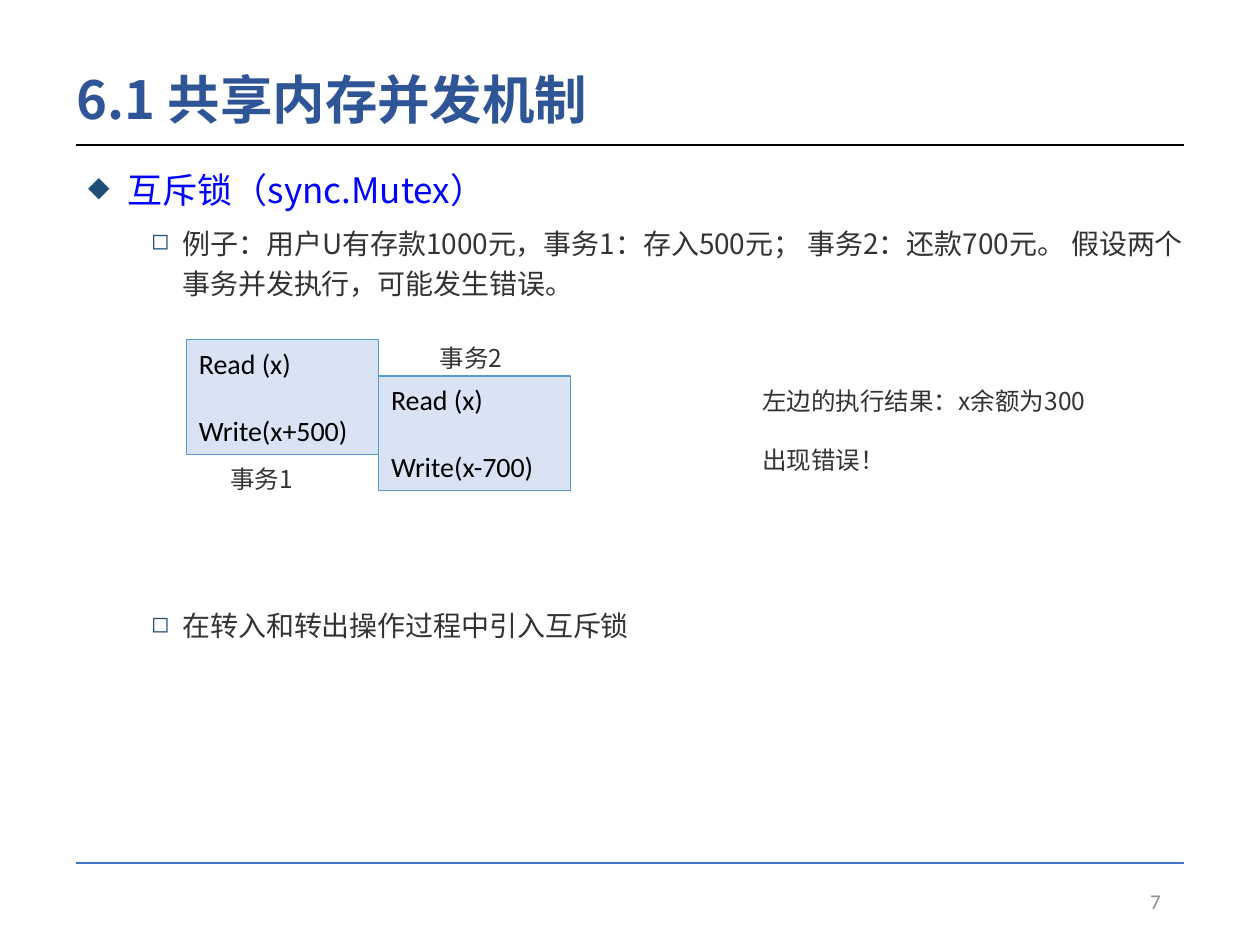
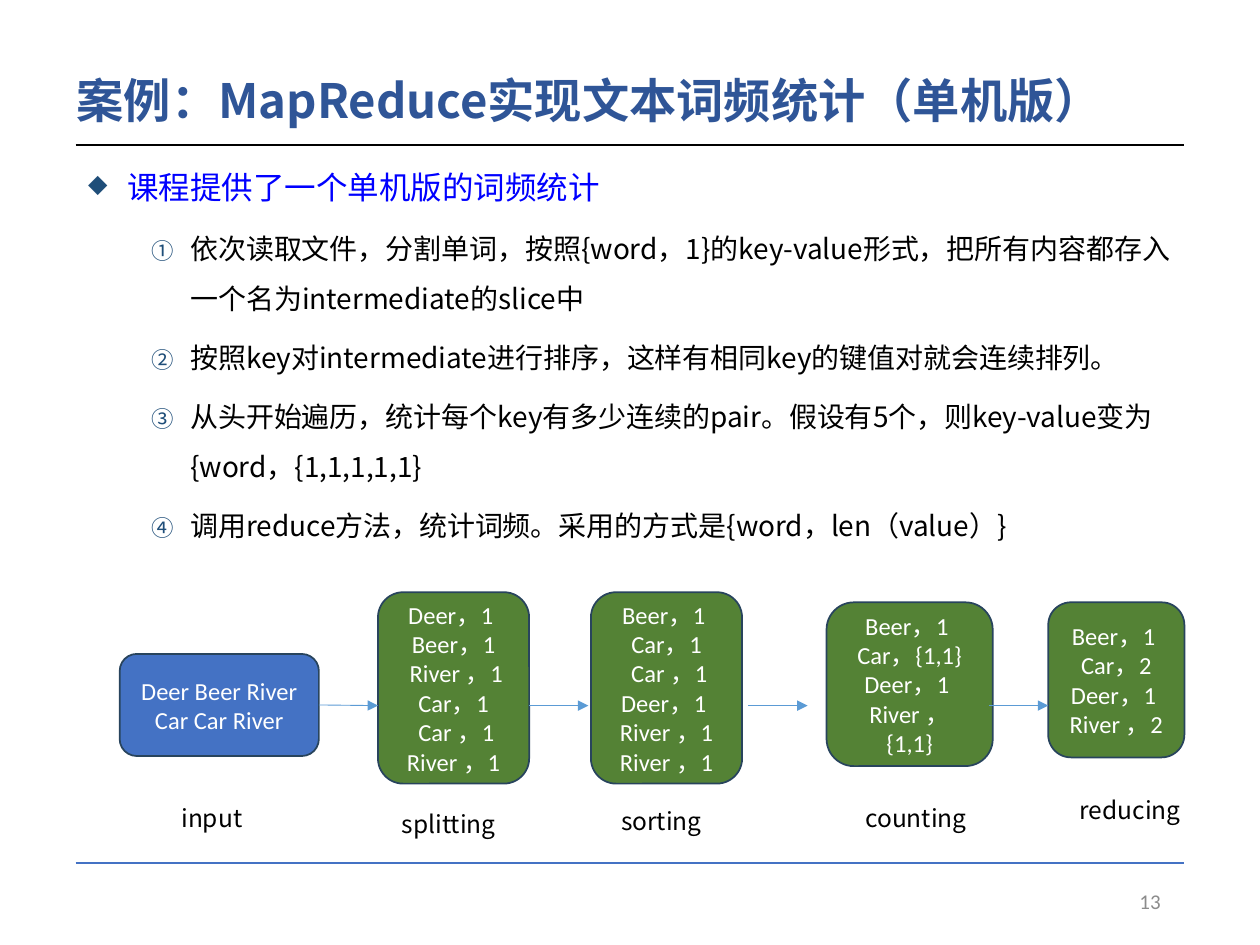
from lxml.etree import SubElement
from pptx import Presentation
from pptx.dml.color import RGBColor
from pptx.enum.shapes import MSO_CONNECTOR, MSO_SHAPE
from pptx.enum.text import MSO_ANCHOR, PP_ALIGN
from pptx.oxml.ns import qn
from pptx.util import Pt

SANS = "Noto Sans CJK SC"
LATIN = "Calibri"
TITLE = RGBColor(0x2F, 0x55, 0x97)
HEAD = RGBColor(0x00, 0x00, 0xFF)
BLACK = RGBColor(0x00, 0x00, 0x00)
WHITE = RGBColor(0xFF, 0xFF, 0xFF)
DARK = RGBColor(0x33, 0x33, 0x33)
GREY = RGBColor(0x8C, 0x8C, 0x8C)
BLUE = RGBColor(0x44, 0x72, 0xC4)
PALE = RGBColor(0xDA, 0xE3, 0xF3)
SKY = RGBColor(0x5B, 0x9B, 0xD5)
GREEN = RGBColor(0x54, 0x82, 0x35)
EDGE = RGBColor(0x28, 0x44, 0x5D)
MARK = "1F4E79"
LEFT, RIGHT = 43.2, 676.8
FLOW = 403.2


def style(para, size, color, font=SANS, bold=False, pitch=None, align=None):
    """Format a paragraph and its runs."""
    para.alignment = align
    if pitch:
        para.line_spacing = pitch
    for run in para.runs:
        run.font.size = Pt(size)
        run.font.bold = bold
        run.font.name = font
        run.font.color.rgb = color
        SubElement(run.font._element, qn("a:ea"), typeface=SANS)


def fill_text(shape, lines, size, color, gap=0, **look):
    """Write lines into a shape, with a gap between paragraphs."""
    frame = shape.text_frame
    frame.word_wrap = True
    frame.text = "\n".join(lines)
    for i, para in enumerate(frame.paragraphs):
        style(para, size, color, **look)
        para.space_before = Pt(gap if i else 0)
    return frame


def add_text(slide, box, lines, size, color, anchor=MSO_ANCHOR.TOP, **look):
    """Add a text box."""
    shape = slide.shapes.add_textbox(*map(Pt, box))
    frame = fill_text(shape, lines, size, color, **look)
    frame.vertical_anchor = anchor
    return frame


def add_box(slide, kind, box, fill, edge, width, anchor):
    """Add a filled shape with an outline."""
    shape = slide.shapes.add_shape(kind, *map(Pt, box))
    shape.shadow.inherit = False
    shape.fill.solid()
    shape.fill.fore_color.rgb = fill
    shape.line.color.rgb = edge
    shape.line.width = Pt(width)
    shape.text_frame.vertical_anchor = anchor
    return shape


def add_line(slide, start, end, y, color, width, arrow=False):
    """Add a level line, with an arrowhead if asked."""
    line = slide.shapes.add_connector(
        MSO_CONNECTOR.STRAIGHT, Pt(start), Pt(y), Pt(end), Pt(y))
    line.line.color.rgb = color
    line.line.width = Pt(width)
    if arrow:
        SubElement(line.line._get_or_add_ln(), qn("a:tailEnd"), type="triangle")
    SubElement(line._element.spPr, qn("a:effectLst"))
    return line


def add_mark(para, tag, indent, hang, **kind):
    """Give a paragraph a hanging bullet."""
    props = para._p.get_or_add_pPr()
    props.set("marL", str(Pt(indent)))
    props.set("indent", str(-Pt(hang)))
    tint = SubElement(props, qn("a:buClr"))
    SubElement(tint, qn("a:srgbClr"), val=MARK)
    SubElement(props, qn("a:buSzPct"), val="80000")
    SubElement(props, qn(tag), **kind)


def add_body(slide, head, size, items, color, pitch, indent, hang, tag, **kind):
    """Add the heading and its marked items."""
    box = (LEFT, 87.8, 646.6, 413.3)
    frame = add_text(slide, box, [head, *items], size, color)
    first, *rest = frame.paragraphs
    style(first, size, HEAD, pitch=Pt(size * 1.46))
    first.space_before = Pt(10)
    add_mark(first, "a:buChar", 22.5, 22.5, char="◆")
    for para in rest:
        para.level = 1
        style(para, 16, color, pitch=Pt(pitch))
        para.space_before = Pt(5)
        add_mark(para, tag, indent, hang, **kind)
    return rest


def add_page(deck, title, size, number):
    """Add a slide with title, rules and page number."""
    slide = deck.slides.add_slide(deck.slide_layouts[6])
    add_text(slide, (36.7, 34.6, 620.6, 48.2), [title], size, TITLE,
             MSO_ANCHOR.MIDDLE, bold=True, pitch=0.9)
    add_text(slide, (508.3, 500.4, 162, 28.8), [number], 12, GREY,
             MSO_ANCHOR.MIDDLE, font=LATIN, align=PP_ALIGN.RIGHT)
    add_line(slide, LEFT, RIGHT, 82.8, BLACK, 1.5)
    add_line(slide, LEFT, RIGHT, 493.2, BLUE, 1)
    return slide


def add_lock(deck):
    """Build the mutex slide."""
    slide = add_page(deck, "6.1 共享内存并发机制", 30, "7")
    items = [
        "例子：用户U有存款1000元，事务1：存入500元； 事务2：还款700元。 "
        "假设两个事务并发执行，可能发生错误。",
        "在转入和转出操作过程中引入互斥锁",
    ]
    rest = add_body(slide, "互斥锁（sync.Mutex）", 20, items, DARK, 22.9,
                    54, 18, "a:buChar", char="◻")
    rest[-1].space_before = Pt(173)
    for x, y, write in ((106.6, 194.2, "Write(x+500)"),
                        (216.4, 214.9, "Write(x-700)")):
        box = add_box(slide, MSO_SHAPE.RECTANGLE, (x, y, 109.6, 65.4),
                      PALE, SKY, 0.75, MSO_ANCHOR.TOP)
        fill_text(box, ["Read (x)", write], 16, BLACK, gap=19.2,
                  font=LATIN, align=PP_ALIGN.LEFT)
    for x, y, name in ((124.6, 261.4, "事务1"), (244.1, 192.2, "事务2")):
        add_text(slide, (x, y, 55.4, 24.5), [name], 14, DARK, pitch=Pt(17))
    add_text(slide, (428.4, 216.7, 248.4, 58.3),
             ["左边的执行结果：x余额为300", "出现错误！"], 14, DARK,
             gap=17, pitch=Pt(17))


def add_count(deck):
    """Build the word count slide."""
    slide = add_page(deck, "案例：MapReduce实现文本词频统计（单机版）", 27, "13")
    items = [
        "依次读取文件，分割单词，按照{word，1}的key-value形式，"
        "把所有内容都存入一个名为intermediate的slice中",
        "按照key对intermediate进行排序，这样有相同key的键值对就会连续排列。",
        "从头开始遍历，统计每个key有多少连续的pair。假设有5个，"
        "则key-value变为{word，{1,1,1,1,1}",
        "调用reduce方法，统计词频。采用的方式是{word，len（value）}",
    ]
    add_body(slide, "课程提供了一个单机版的词频统计", 18, items, BLACK, 28.7,
             58.5, 22.5, "a:buAutoNum", type="circleNumDbPlain")
    stages = [
        ((68.4, 373.7, 113.8, 58.3), BLUE, ["Deer Beer River Car Car River"]),
        ((216, 338.4, 86.4, 109.4), GREEN,
         ["Deer，1 ", "Beer，1", " River ，1", "Car，1", " Car ，1", "River ，1"]),
        ((337.7, 338.4, 86.4, 109.4), GREEN,
         ["Beer，1 ", "Car，1", " Car ，1", "Deer，1 ", "River ，1", "River ，1"]),
        ((472.3, 344.2, 95, 93.6), GREEN,
         ["Beer，1 ", "Car，{1,1}", "Deer，1 ", "River ，{1,1}"]),
        ((599, 344.2, 77.8, 88.6), GREEN,
         ["Beer，1 ", "Car，2", "Deer，1 ", "River ，2"]),
    ]
    boxes = []
    for place, fill, lines in stages:
        box = add_box(slide, MSO_SHAPE.ROUNDED_RECTANGLE, place, fill, EDGE, 1,
                      MSO_ANCHOR.MIDDLE)
        fill_text(box, lines, 14, WHITE, font=LATIN, pitch=Pt(16.8),
                  align=PP_ALIGN.CENTER)
        boxes.append(box)
    for x, y, name in ((96.5, 451.4, "input"), (222.5, 455, "splitting"),
                       (347.8, 453.6, "sorting"), (487.4, 451.4, "counting"),
                       (609.8, 447.1, "reducing")):
        add_text(slide, (x, y, 79.9, 25.9), [name], 14, BLACK, pitch=Pt(20.5))
    arrows = [add_line(slide, x, x + 33.8, FLOW, SKY, 0.5, True)
              for x in (182.2, 302.4, 427.7, 565.2)]
    arrows[0].begin_connect(boxes[0], 3)


def main():
    """Build and save the deck."""
    deck = Presentation()
    deck.slide_width, deck.slide_height = Pt(720), Pt(540)
    add_lock(deck)
    add_count(deck)
    deck.save("out.pptx")


if __name__ == "__main__":
    main()
